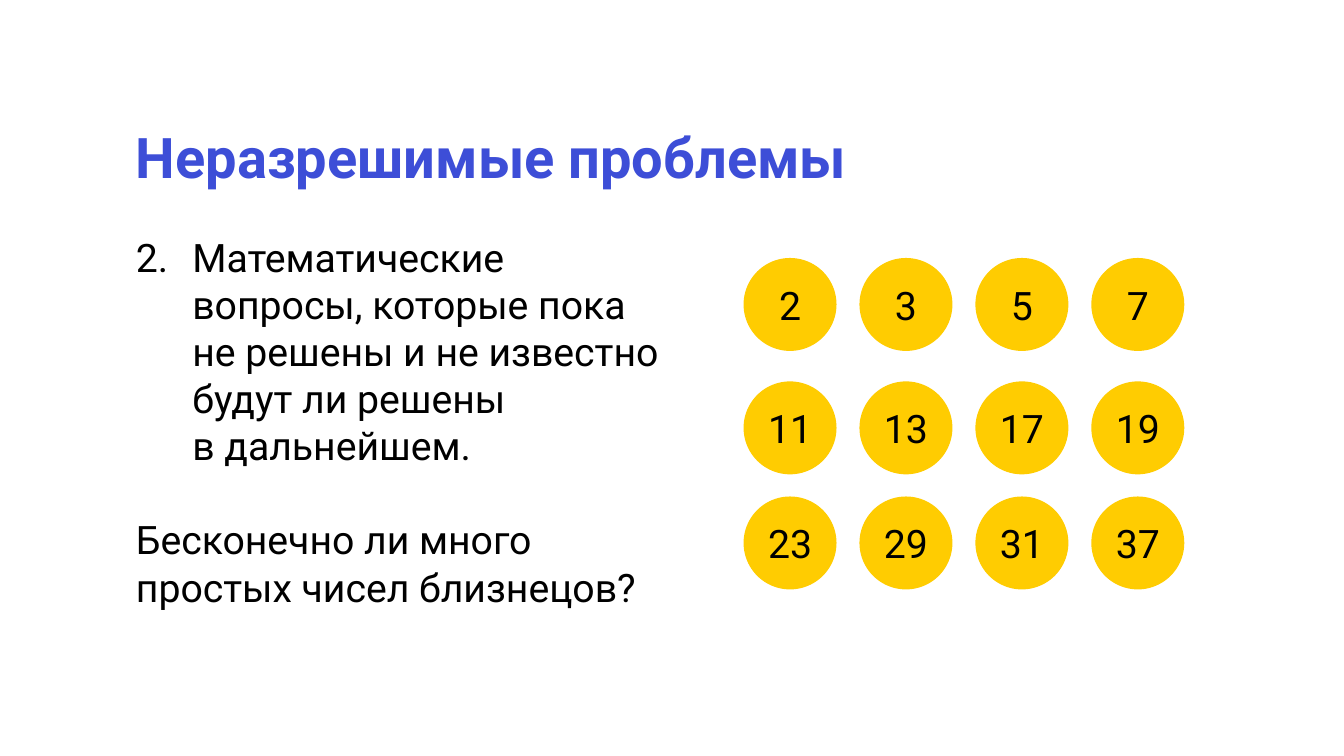
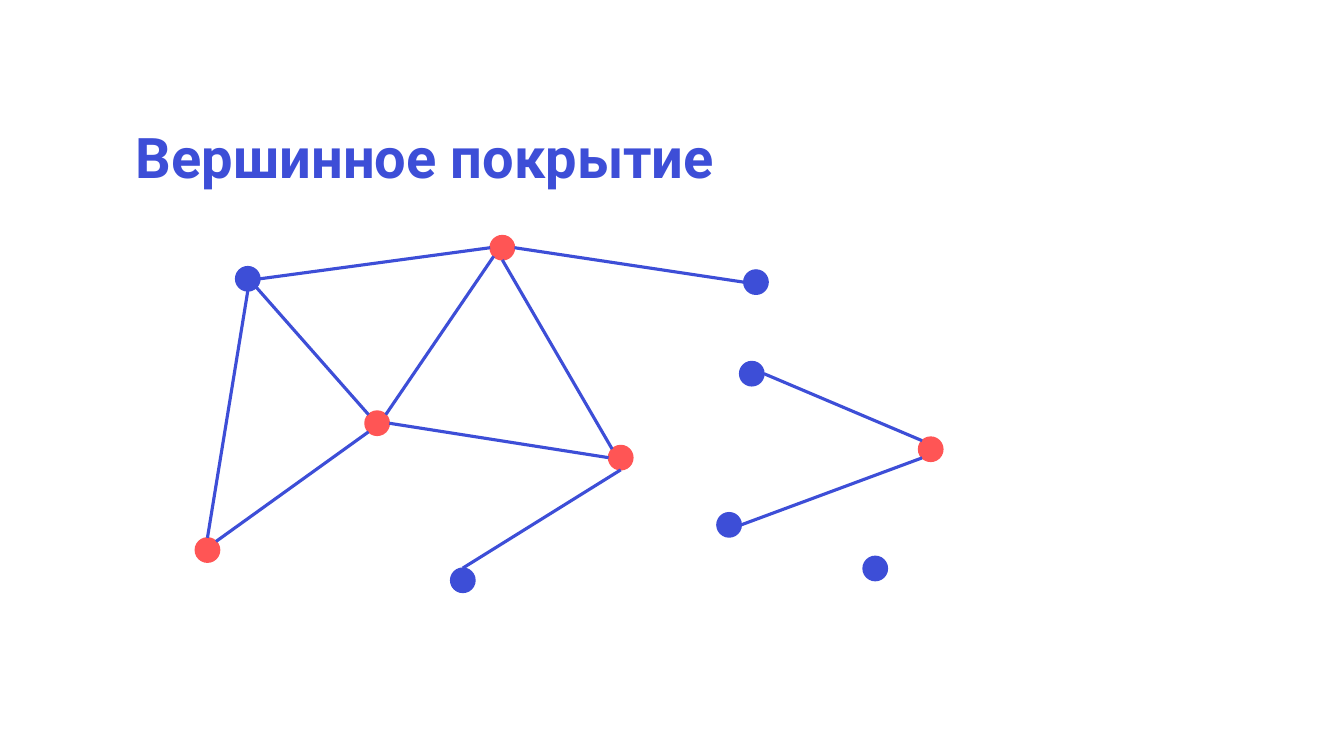
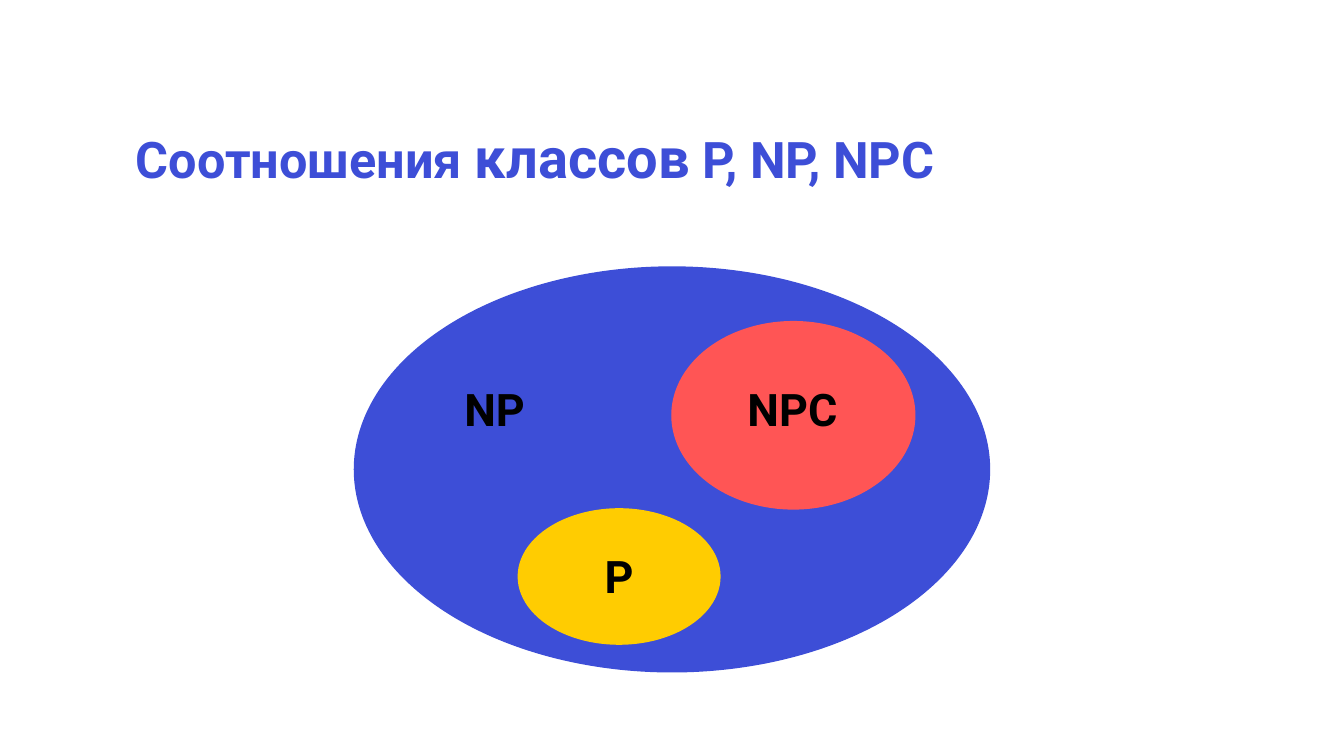
from math import cos, radians, sin

from lxml.etree import SubElement
from pptx import Presentation
from pptx.dml.color import RGBColor
from pptx.enum.shapes import MSO_CONNECTOR as Connector, MSO_SHAPE as Shape
from pptx.enum.text import MSO_ANCHOR as Anchor, PP_ALIGN as Align
from pptx.oxml.ns import qn
from pptx.util import Inches, Pt

SLIDE_WIDTH, SLIDE_HEIGHT = Inches(13.33), Inches(7.5)
COLUMNS = 16
CELL = SLIDE_WIDTH / COLUMNS
FONT = "Roboto"
BLUE, RED, YELLOW, BLACK = "3D4ED7", "FF5555", "FFCC01", "000000"
NODE_SIZE = 0.29
SITES = {"right": 0, "lower right": 45, "bottom": 90, "lower left": 135,
         "left": 180, "upper left": 225, "top": 270, "upper right": 315}


def grid(*cells):
    return [round(cell * CELL) for cell in cells]


def color(hex_code):
    return RGBColor.from_string(hex_code)


def style(run, size, hex_code=BLACK, bold=False):
    run.font.name = FONT
    run.font.size = Pt(size)
    run.font.bold = bold
    run.font.color.rgb = color(hex_code)


def add_text(slide, area, paragraphs, size, hex_code=BLACK, bold=False, wrap=True):
    frame = slide.shapes.add_textbox(*grid(*area)).text_frame
    frame.word_wrap = wrap
    frame.text = "\n".join(paragraphs)
    for paragraph in frame.paragraphs:
        for run in paragraph.runs:
            style(run, size, hex_code, bold)
    return frame


def add_title(slide, text, width):
    frame = add_text(slide, (1.5, 1.49, width, 0.96), [text], 40, BLUE, True)
    frame.paragraphs[0].line_spacing = 0.9
    return frame.paragraphs[0]


def add_ellipse(slide, area, hex_code):
    ellipse = slide.shapes.add_shape(Shape.OVAL, *grid(*area))
    ellipse.shadow.inherit = False
    ellipse.fill.solid()
    ellipse.fill.fore_color.rgb = color(hex_code)
    ellipse.line.color.rgb = color(hex_code)
    ellipse.line.width = Pt(1)
    return ellipse


def add_number(slide, left, top, number):
    frame = add_ellipse(slide, (left, top, 1.09, 1.09), YELLOW).text_frame
    frame.word_wrap = False
    frame.vertical_anchor = Anchor.MIDDLE
    frame.text = str(number)
    frame.paragraphs[0].alignment = Align.CENTER
    style(frame.paragraphs[0].runs[0], 28)


def make_numbered(paragraph, start):
    indent = Inches(0.56)
    properties = paragraph._p.get_or_add_pPr()
    properties.set("marL", str(indent))
    properties.set("indent", str(-indent))
    SubElement(properties, qn("a:buFont"), typeface="+mj-lt")
    SubElement(properties, qn("a:buAutoNum"), type="arabicPeriod", startAt=str(start))


def site_of(center, site):
    angle = radians(SITES[site])
    x, y = center
    return grid(x + NODE_SIZE / 2 * cos(angle), y + NODE_SIZE / 2 * sin(angle))


def add_edge(slide, start, end):
    edge = slide.shapes.add_connector(Connector.STRAIGHT, *start, *end)
    edge.line.color.rgb = color(BLUE)
    edge.line.width = Pt(2.25)
    SubElement(edge._element.spPr, qn("a:effectLst"))


def build_unsolvable(slide):
    add_title(slide, "Неразрешимые проблемы", 9.34)
    body = add_text(slide, (1.5, 2.72, 6.5, 4.64), [
        "Математические вопросы, которые пока не решены и не известно будут ли решены\vв дальнейшем.",
        "Бесконечно ли много простых чисел близнецов?",
    ], 28)
    question, twins = body.paragraphs
    make_numbered(question, 2)
    twins.space_before = Pt(33.6)
    primes = {3.08: (2, 3, 5, 7), 4.55: (11, 13, 17, 19), 5.92: (23, 29, 31, 37)}
    for top, row in primes.items():
        for column, prime in enumerate(row):
            add_number(slide, 8.86 + 1.38 * column, top, prime)


def build_vertex_cover(slide):
    add_title(slide, "Вершинное покрытие", 13.02)
    vertices = {
        "A": (2.95, 3.32), "B": (5.98, 2.95), "C": (4.49, 5.04), "D": (7.39, 5.45),
        "E": (2.47, 6.55), "F": (5.51, 6.91), "G": (8.68, 6.25), "H": (9, 3.36),
        "I": (10.42, 6.77), "J": (11.08, 5.35), "K": (8.95, 4.45),
    }
    cover = "BCDEJ"
    edges = [
        ("A", "right", "B", "left"),
        ("A", "lower right", "C", "upper left"),
        ("A", "bottom", "E", "top"),
        ("B", "lower left", "C", "upper right"),
        ("D", "bottom", "F", "top"),
        ("H", "left", "B", "right"),
        ("D", "left", "C", "right"),
        ("E", "upper right", "C", "lower left"),
        ("B", "bottom", "D", "upper left"),
        ("K", "right", "J", "upper left"),
        ("G", "right", "J", "lower left"),
    ]
    for name, (x, y) in vertices.items():
        area = (x - NODE_SIZE / 2, y - NODE_SIZE / 2, NODE_SIZE, NODE_SIZE)
        add_ellipse(slide, area, RED if name in cover else BLUE)
    for start, start_site, end, end_site in edges:
        add_edge(slide, site_of(vertices[start], start_site), site_of(vertices[end], end_site))


def build_classes(slide):
    heading = add_title(slide, "Соотношения ", 10.14)
    heading.runs[0].font.size = Pt(36)
    for text, size in (("классов", 40), (" P, NP, NPC", 36)):
        run = heading.add_run()
        run.text = text
        style(run, size, BLUE, True)
    classes = [
        ("NP", (4.22, 3.18, 7.56, 4.82), BLUE, (5.41, 4.49, 1.01, 0.77)),
        ("NPC", (8, 3.83, 2.89, 2.23), RED, (8.78, 4.49, 1.33, 0.77)),
        ("P", (6.17, 6.06, 2.4, 1.61), YELLOW, (7.08, 6.48, 0.58, 0.77)),
    ]
    for name, area, hex_code, label_area in classes:
        add_ellipse(slide, area, hex_code)
        add_text(slide, label_area, [name], 32, bold=True, wrap=False)


def main():
    deck = Presentation()
    deck.slide_width, deck.slide_height = SLIDE_WIDTH, SLIDE_HEIGHT
    blank = deck.slide_layouts[6]
    for build in (build_unsolvable, build_vertex_cover, build_classes):
        build(deck.slides.add_slide(blank))
    deck.save("out.pptx")


if __name__ == "__main__":
    main()
